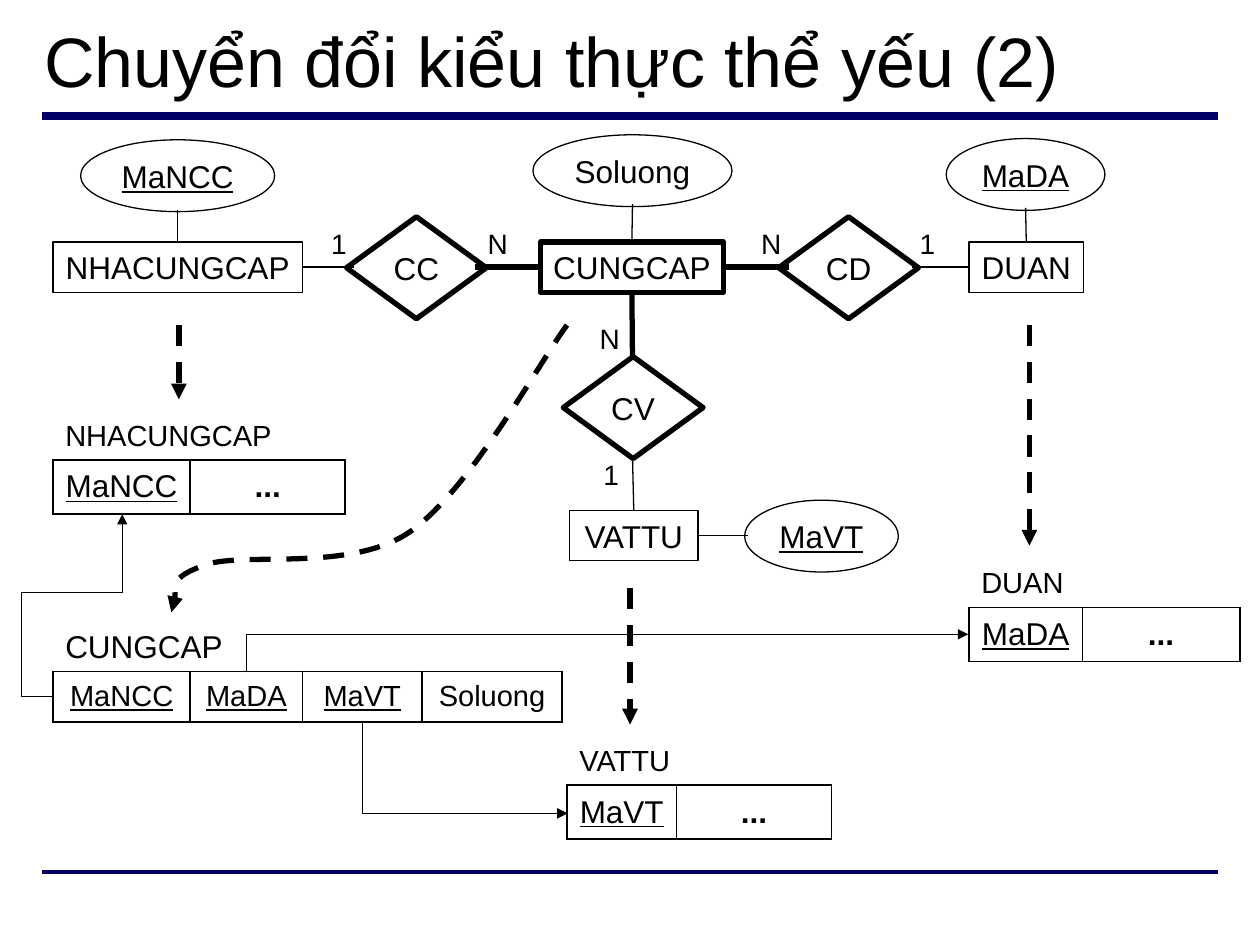
from dataclasses import dataclass
from typing import Any

from lxml.etree import SubElement
from pptx import Presentation
from pptx.dml.color import RGBColor
from pptx.enum.dml import MSO_LINE
from pptx.enum.shapes import MSO_CONNECTOR as Link, MSO_SHAPE as Preset
from pptx.enum.text import MSO_ANCHOR as Anchor, MSO_AUTO_SIZE as AutoSize, PP_ALIGN as Align
from pptx.oxml.ns import qn
from pptx.util import Inches, Pt

BLACK, WHITE, NAVY = "000000", "FFFFFF", "000066"
TOP, LEFT, BOTTOM, RIGHT = range(4)


def color(value):
    """Turn a hex string into a colour."""
    return RGBColor.from_string(value)


def style_text(frame, text, size, align=Align.CENTER, underline=None, bold=None):
    """Write one paragraph of Arial text, centred vertically."""
    frame.vertical_anchor = Anchor.MIDDLE
    paragraph = frame.paragraphs[0]
    paragraph.text = text
    paragraph.alignment = align
    font = paragraph.font
    font.name, font.size = "Arial", Pt(size)
    font.underline, font.bold = underline, bold
    font.color.rgb = color(BLACK)


def style_line(shape, weight, hue=BLACK, dashed=False, arrow=False):
    """Set the outline, dash and end arrow of a shape or connector."""
    line = shape.line
    line.color.rgb = color(hue)
    line.width = Pt(weight)
    if dashed:
        line.dash_style = MSO_LINE.DASH
    if arrow:
        SubElement(line._get_or_add_ln(), qn("a:tailEnd"), type="triangle")


@dataclass
class Region:
    """An area of the slide whose parts are placed from its top left corner."""
    slide: Any
    left: float
    top: float

    def at(self, x, y):
        """Give the slide position of a point in this region."""
        return Inches(self.left + x), Inches(self.top + y)

    def node(self, preset, text, x, y, width, height, weight=0.75, fill=None, underline=None):
        """Add an outlined shape with a centred name."""
        shape = self.slide.shapes.add_shape(preset, *self.at(x, y), Inches(width), Inches(height))
        shape.shadow.inherit = False
        if fill:
            shape.fill.solid()
            shape.fill.fore_color.rgb = color(fill)
        else:
            shape.fill.background()
        style_line(shape, weight)
        shape.text_frame.word_wrap = False
        style_text(shape.text_frame, text, 18, underline=underline)
        return shape

    def label(self, text, x, y, width, height, size, align=Align.CENTER):
        """Add a plain text box."""
        box = self.slide.shapes.add_textbox(*self.at(x, y), Inches(width), Inches(height))
        box.text_frame.word_wrap = True
        style_text(box.text_frame, text, size, align)

    def connector(self, start, end, weight, kind=Link.STRAIGHT, **line_style):
        """Add a connector without a shadow."""
        connector = self.slide.shapes.add_connector(kind, *self.at(*start), *self.at(*end))
        style_line(connector, weight, **line_style)
        SubElement(connector._element.spPr, qn("a:effectLst"))
        return connector

    def elbow(self, x, y, width, height, preset, rotation, flips, adjustments=()):
        """Add a thin bent arrow with the given turn and flips."""
        connector = self.connector((x, y), (x + width, y + height), 0.75, Link.ELBOW, arrow=True)
        properties = connector._element.spPr
        transform = properties.find(qn("a:xfrm"))
        transform.set("rot", str(rotation * 60000))
        for flip in flips:
            transform.set(flip, "1")
        geometry = properties.find(qn("a:prstGeom"))
        geometry.set("prst", preset)
        guides = geometry.find(qn("a:avLst"))
        for number, value in enumerate(adjustments, 1):
            SubElement(guides, qn("a:gd"), name=f"adj{number}", fmla=f"val {value}")

    def curve(self, start, points):
        """Add a dashed arrow through cubic Bézier points."""
        builder = self.slide.shapes.build_freeform(*self.at(*start))
        builder.add_line_segments([self.at(*point) for point in points], close=False)
        shape = builder.convert_to_shape()
        shape.shadow.inherit = False
        shape.fill.background()
        style_line(shape, 3, dashed=True, arrow=True)
        outline = next(shape._element.iter(qn("a:path")))
        segments = outline.findall(qn("a:lnTo"))
        for first in range(0, len(segments), 3):
            bezier = SubElement(outline, qn("a:cubicBezTo"))
            for segment in segments[first:first + 3]:
                bezier.append(segment[0])
                outline.remove(segment)

    def relation(self, name, x, y, columns, height=0.43, size=18, name_size=16.6):
        """Add a relation as a captioned one-row table; keys start with Ma."""
        self.label(name, x, y - 0.4, 2, 0.4, name_size, Align.LEFT)
        width = sum(column_width for _, column_width in columns)
        frame = self.slide.shapes.add_table(1, len(columns), *self.at(x, y), Inches(width), Inches(height))
        table = frame.table
        table.first_row = table.horz_banding = False
        for index, (text, column_width) in enumerate(columns):
            table.columns[index].width = Inches(column_width)
            cell = table.cell(0, index)
            style_text(cell.text_frame, text, size, underline=text.startswith("Ma") or None,
                       bold=text == "..." or None)
            cell.vertical_anchor = Anchor.MIDDLE
            properties = cell._tc.get_or_add_tcPr()
            for side in "LRTB":
                border = SubElement(properties, qn(f"a:ln{side}"), w=str(Pt(1)))
                SubElement(SubElement(border, qn("a:solidFill")), qn("a:srgbClr"), val=BLACK)
            cell.fill.background()


def add_heading(slide, left, top):
    """Format the title and draw the two rules of the page."""
    title = slide.shapes.title
    title.left, title.top = Inches(left), Inches(top)
    title.width, title.height = Inches(9.5), Inches(0.58)
    title.text_frame.auto_size = AutoSize.NONE
    style_text(title.text_frame, "Chuyển đổi kiểu thực thể yếu (2)", 40, Align.LEFT)
    region = Region(slide, left, top)
    for y, weight in ((0.74, 4.5), (6.74, 2.25)):
        region.connector((0.08, y), (9.42, y), weight, hue=NAVY)


def add_entity_diagram(slide, left, top):
    """Draw the entities, relationships, attributes and cardinalities."""
    region = Region(slide, left, top)
    entities = {
        name: region.node(Preset.RECTANGLE, name, x, y, width, 0.4, weight)
        for name, x, y, width, weight in (
            ("NHACUNGCAP", 0, 0.85, 1.98, 0.75), ("DUAN", 7.27, 0.85, 0.91, 0.75),
            ("VATTU", 4.1, 2.98, 1.02, 0.75), ("CUNGCAP", 3.87, 0.85, 1.45, 3))
    }
    for name, x, y in (("CC", 2.33, 0.65), ("CD", 5.76, 0.65), ("CV", 4.05, 1.76)):
        region.node(Preset.DIAMOND, name, x, y, 1.11, 0.81, 3)
    for name, x, y, width in (("Soluong", 3.81, 0, 1.58), ("MaNCC", 0.22, 0.04, 1.54),
                              ("MaDA", 7.09, 0.03, 1.26), ("MaVT", 5.49, 2.9, 1.22)):
        region.node(Preset.OVAL, name, x, y, width, 0.57, fill=WHITE,
                    underline=name.startswith("Ma") or None)
    for start, name, side, weight in (
            ((2.39, 1.05), "NHACUNGCAP", RIGHT, 0.75), ((0.99, 0.6), "NHACUNGCAP", TOP, 0.75),
            ((6.82, 1.05), "DUAN", LEFT, 0.75), ((7.72, 0.58), "DUAN", TOP, 0.75),
            ((4.6, 2.55), "VATTU", TOP, 0.75), ((5.52, 3.18), "VATTU", RIGHT, 0.75),
            ((4.6, 0.55), "CUNGCAP", TOP, 0.75), ((3.35, 1.05), "CUNGCAP", LEFT, 3),
            ((5.84, 1.05), "CUNGCAP", RIGHT, 3), ((4.6, 1.78), "CUNGCAP", BOTTOM, 3)):
        region.connector(start, start, weight).end_connect(entities[name], side)
    for text, x, y in (("1", 2.11, 0.68), ("1", 4.27, 2.51), ("1", 6.78, 0.68),
                       ("N", 3.35, 0.68), ("N", 4.24, 1.43), ("N", 5.52, 0.68)):
        region.label(text, x, y, 0.32 if text == "1" else 0.36, 0.37, 16)


def add_relations(slide, left, top):
    """Draw the resulting relations, their foreign keys and the mapping arrows."""
    region = Region(slide, left, top)
    region.relation("NHACUNGCAP", 0, 1.07, [("MaNCC", 1.09), ("...", 1.23)])
    region.relation("VATTU", 4.08, 3.65, [("MaVT", 0.87), ("...", 1.23)])
    region.relation("DUAN", 7.27, 2.24, [("MaDA", 0.9), ("...", 1.25)])
    region.relation("CUNGCAP", 0, 2.75, [("MaNCC", 1.09), ("MaDA", 0.89), ("MaVT", 0.95), ("Soluong", 1.11)],
                    height=0.4, size=16.6, name_size=18)
    for x, start, end in ((1, 0, 0.59), (4.58, 2.09, 3.17), (7.75, 0, 1.75)):
        region.connector((x, start), (x, end), 3, dashed=True, arrow=True)
    region.curve((4.08, 0), [(3.87, 0.28), (3.3, 1.33), (2.82, 1.65),
                             (2.35, 1.96), (1.53, 1.8), (1.22, 1.9),
                             (0.9, 2.01), (1, 2.2), (0.94, 2.28)])
    region.elbow(0, 1.5, 0.55, 1.45, "bentConnector4", 180, ["flipH"], (-45800, 56900))
    region.elbow(4.25, -0.26, 0.3, 5.73, "bentConnector2", 90, ["flipH", "flipV"])
    region.elbow(2.91, 2.7, 0.72, 1.63, "bentConnector2", 270, ["flipH"])


def main():
    """Build the presentation and save it."""
    presentation = Presentation()
    presentation.slide_width, presentation.slide_height = Inches(10), Inches(7.5)
    slide = presentation.slides.add_slide(presentation.slide_layouts[5])
    add_heading(slide, 0.25, 0.18)
    add_entity_diagram(slide, 0.42, 1.07)
    add_relations(slide, 0.42, 2.58)
    presentation.save("out.pptx")


if __name__ == "__main__":
    main()
